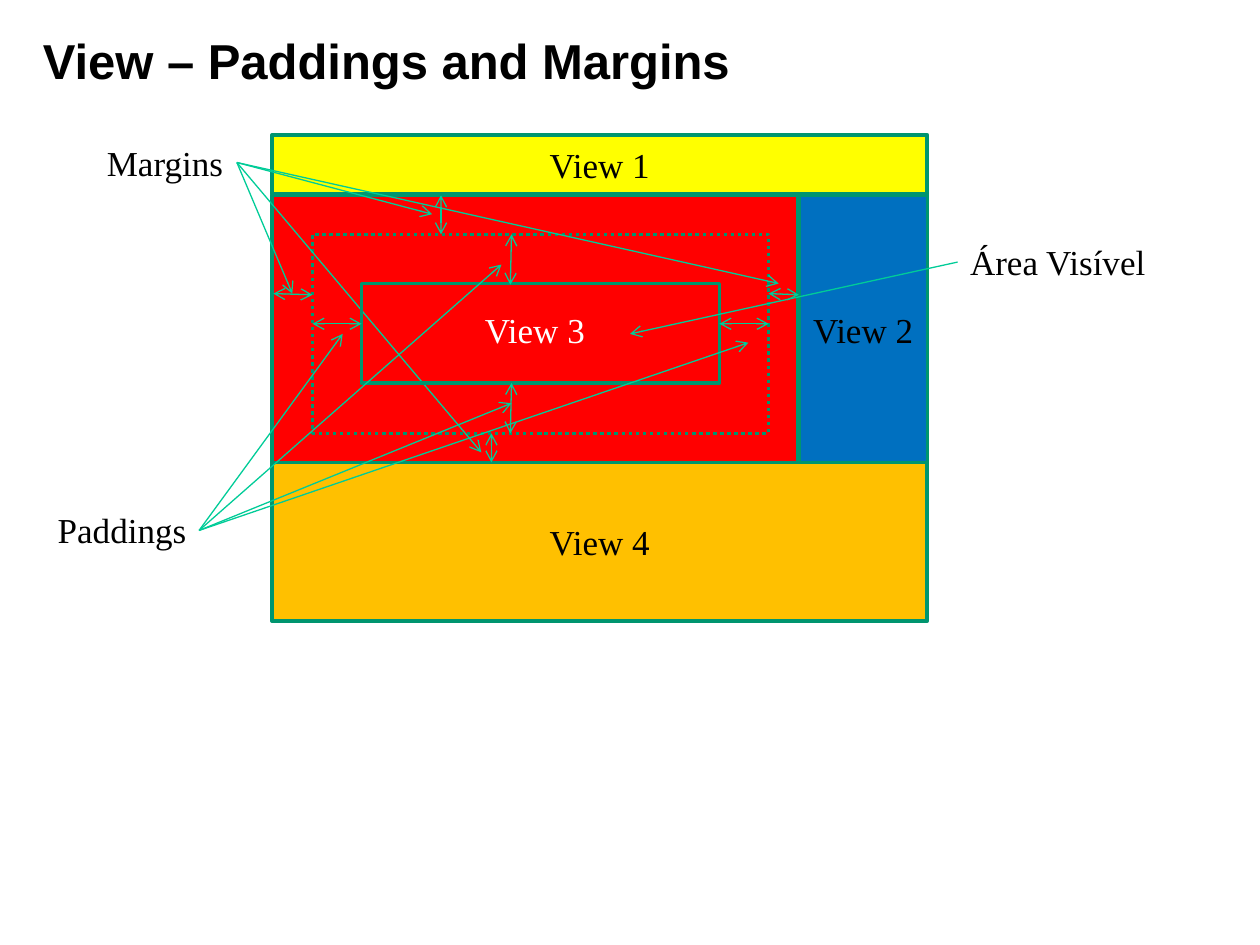
from pptx import Presentation
from pptx.dml.color import RGBColor
from pptx.enum.dml import MSO_LINE
from pptx.enum.shapes import MSO_CONNECTOR, MSO_SHAPE
from pptx.enum.text import MSO_ANCHOR, MSO_AUTO_SIZE, PP_ALIGN
from pptx.oxml.ns import qn
from pptx.util import Inches, Pt
from lxml import etree

RECT = MSO_SHAPE.RECTANGLE
LINE = MSO_CONNECTOR.STRAIGHT
DOTS = MSO_LINE.ROUND_DOT
LEFT, CENTER = PP_ALIGN.LEFT, PP_ALIGN.CENTER
TOP, MIDDLE = MSO_ANCHOR.TOP, MSO_ANCHOR.MIDDLE
GROW = MSO_AUTO_SIZE.SHAPE_TO_FIT_TEXT

BLACK = RGBColor(0x00, 0x00, 0x00)
WHITE = RGBColor(0xFF, 0xFF, 0xFF)
RED = RGBColor(0xFF, 0x00, 0x00)
YELLOW = RGBColor(0xFF, 0xFF, 0x00)
BLUE = RGBColor(0x00, 0x70, 0xC0)
ORANGE = RGBColor(0xFF, 0xC0, 0x00)
GREEN = RGBColor(0x00, 0x95, 0x6F)
MINT = RGBColor(0x00, 0xCC, 0x98)

SERIF = "Times New Roman"


def write(frame, text, align=LEFT, font=SERIF, size=20, color=BLACK, bold=False):
    para = frame.paragraphs[0]
    para.alignment = align
    run = para.add_run()
    run.text = text
    run.font.name = font
    run.font.size = Pt(size)
    run.font.bold = bold
    run.font.color.rgb = color


def add_title(slide, text):
    title = slide.shapes.title
    title.left, title.top = Inches(0.24), Inches(0.19)
    title.width, title.height = Inches(5.66), Inches(0.57)
    frame = title.text_frame
    frame.word_wrap = False
    frame.auto_size = GROW
    frame.vertical_anchor = TOP
    write(frame, text, font="Arial", size=28, bold=True)


def add_box(shapes, box, fill=None, text=None, color=BLACK, dash=None):
    shape = shapes.add_shape(RECT, *map(Inches, box))
    shape.shadow.inherit = False
    if fill is None:
        shape.fill.background()
    else:
        shape.fill.solid()
        shape.fill.fore_color.rgb = fill
    shape.line.color.rgb = GREEN
    shape.line.width = Pt(2)
    if dash is not None:
        shape.line.dash_style = dash
    if text:
        shape.text_frame.vertical_anchor = MIDDLE
        write(shape.text_frame, text, CENTER, color=color)


def add_label(shapes, left, top, width, text):
    box = shapes.add_textbox(Inches(left), Inches(top), Inches(width), Inches(0.44))
    box.text_frame.word_wrap = False
    box.text_frame.auto_size = GROW
    write(box.text_frame, text)


def add_arrow(shapes, start, end, both=False):
    line = shapes.add_connector(LINE, *map(Inches, start + end))
    line.line.color.rgb = MINT
    line.line.width = Pt(0.75)
    # The head end must come before the tail end
    ends = ("a:headEnd", "a:tailEnd") if both else ("a:tailEnd",)
    props = line.line._get_or_add_ln()
    for tag in ends:
        etree.SubElement(props, qn(tag), type="arrow")
    etree.SubElement(line._element.spPr, qn("a:effectLst"))


def add_note(slide, label, start, tips, spans=()):
    """Group a label, its pointers and the spans it names."""
    shapes = slide.shapes.add_group_shape().shapes
    add_label(shapes, *label)
    for span in spans:
        add_arrow(shapes, *span, both=True)
    for tip in tips:
        add_arrow(shapes, start, tip)


def main():
    deck = Presentation()
    deck.slide_width, deck.slide_height = Inches(10), Inches(7.5)
    slide = deck.slides.add_slide(deck.slide_layouts[5])
    shapes = slide.shapes
    add_title(slide, "View – Paddings and Margins")

    # The four views
    add_box(shapes, (2.16, 1.55, 4.17, 2.13), RED, "View 3", WHITE)
    add_box(shapes, (2.16, 1.07, 5.2, 0.47), YELLOW, "View 1")
    add_box(shapes, (6.34, 1.55, 1.02, 2.13), BLUE, "View 2")
    add_box(shapes, (2.16, 3.67, 5.2, 1.26), ORANGE, "View 4")

    # Margins, between the view edge and the dotted frame
    add_box(shapes, (2.48, 1.86, 3.62, 1.58), dash=DOTS)
    add_note(
        slide, (0.75, 1.07, 1.13, "Margins"), (1.88, 1.29),
        [(6.18, 2.25), (3.43, 1.7), (2.32, 2.33), (3.82, 3.59)],
        [((3.5, 1.55), (3.5, 1.86)), ((2.17, 2.33), (2.48, 2.34)),
         ((6.1, 2.33), (6.34, 2.34)), ((3.9, 3.44), (3.9, 3.67))])

    # Paddings, between the dotted frame and the content
    add_box(shapes, (2.87, 2.25, 2.84, 0.79))
    add_note(
        slide, (0.36, 3.99, 1.22, "Paddings"), (1.58, 4.21),
        [(2.72, 2.65), (4.06, 3.2), (5.94, 2.72), (3.98, 2.1)],
        [((4.06, 1.86), (4.05, 2.26)), ((4.06, 3.04), (4.05, 3.44)),
         ((5.71, 2.57), (6.1, 2.57)), ((2.87, 2.57), (2.48, 2.57))])

    # Visible area
    add_note(slide, (7.6, 1.86, 1.61, "Área Visível"), (7.6, 2.08), [(5, 2.65)])

    deck.save("out.pptx")


if __name__ == "__main__":
    main()
